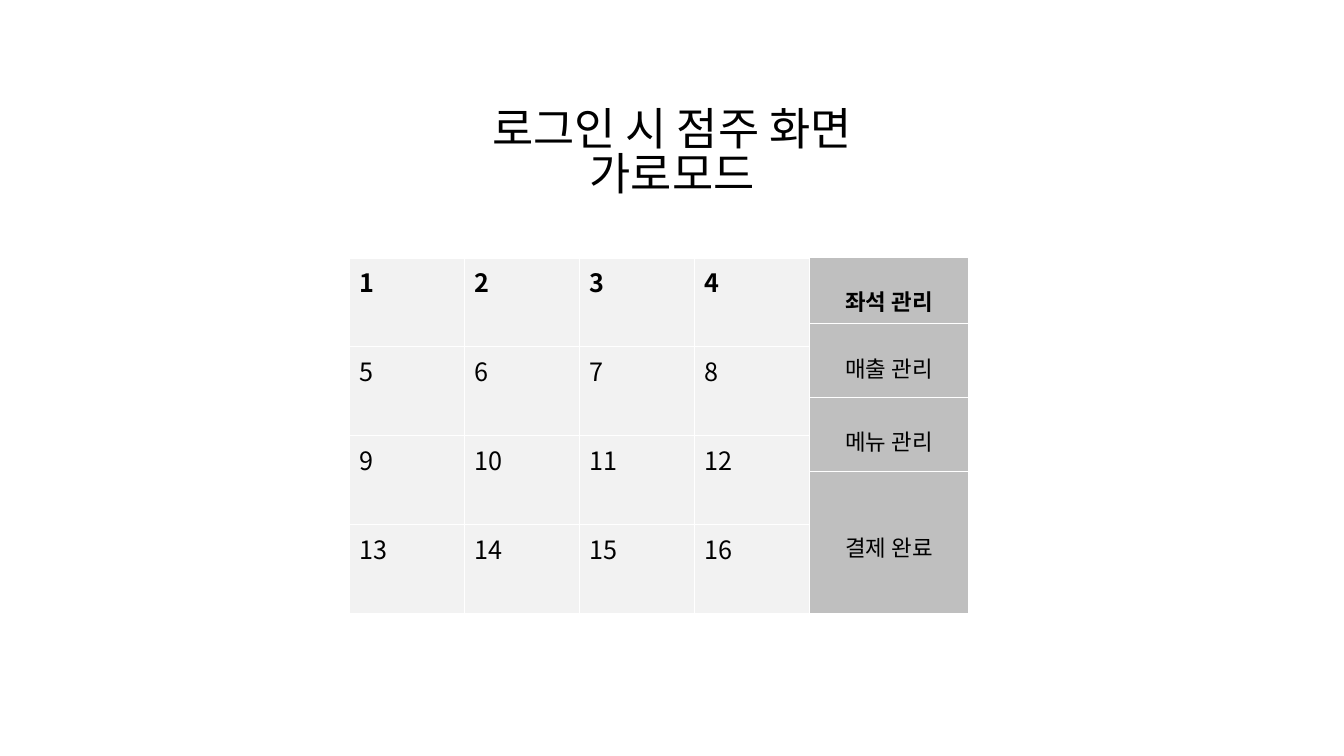
from dataclasses import dataclass

import lxml.etree
import pptx
import pptx.dml.color
import pptx.enum.text
import pptx.oxml.ns
import pptx.table
import pptx.text.text
import pptx.util
from pptx.util import Cm

FONT = "Noto Sans CJK KR"
BLACK = pptx.dml.color.RGBColor(0x00, 0x00, 0x00)
SEAT_GREY = pptx.dml.color.RGBColor(0xF2, 0xF2, 0xF2)
MENU_GREY = pptx.dml.color.RGBColor(0xBF, 0xBF, 0xBF)
LEFT = pptx.enum.text.PP_ALIGN.LEFT
CENTER = pptx.enum.text.PP_ALIGN.CENTER
SEATS_PER_ROW = 4


@dataclass(frozen=True)
class Grid:
    rows: list[list[str]]
    left: float
    top: float
    column_width: float
    row_heights: list[float]
    top_margins: list[float]
    fill: pptx.dml.color.RGBColor
    size: int
    align: pptx.enum.text.PP_ALIGN


def write_text(
    paragraph: pptx.text.text._Paragraph,
    text: str,
    *,
    size: int,
    bold: bool = False,
    align: pptx.enum.text.PP_ALIGN = LEFT,
    line_spacing: float = 1.0,
) -> None:
    paragraph.alignment = align
    paragraph.line_spacing = line_spacing
    run = paragraph.add_run()
    run.text = text
    run.font.size = pptx.util.Pt(size)
    run.font.bold = bold
    run.font.color.rgb = BLACK
    run.font.name = FONT
    properties = run._r.get_or_add_rPr()
    east_asian = lxml.etree.SubElement(properties, pptx.oxml.ns.qn("a:ea"))
    east_asian.set("typeface", FONT)


def draw_title(slide: pptx.slide.Slide, lines: list[str]) -> None:
    title = slide.shapes.title
    title.left, title.top = Cm(9.14), Cm(2.39)
    title.width, title.height = Cm(15.6), Cm(3)
    frame = title.text_frame
    frame.word_wrap = True
    frame.auto_size = pptx.enum.text.MSO_AUTO_SIZE.NONE
    frame.vertical_anchor = pptx.enum.text.MSO_ANCHOR.MIDDLE
    for index, line in enumerate(lines):
        paragraph = frame.add_paragraph() if index else frame.paragraphs[0]
        write_text(paragraph, line, size=32, align=CENTER, line_spacing=0.83)


def draw_grid(slide: pptx.slide.Slide, grid: Grid) -> None:
    column_count = len(grid.rows[0])
    table = slide.shapes.add_table(
        len(grid.rows), column_count, Cm(grid.left), Cm(grid.top),
        Cm(grid.column_width * column_count), Cm(sum(grid.row_heights)),
    ).table
    table.horz_banding = False
    for column in table.columns:
        column.width = Cm(grid.column_width)
    for row_index, texts in enumerate(grid.rows):
        table.rows[row_index].height = Cm(grid.row_heights[row_index])
        for column_index, text in enumerate(texts):
            cell = table.cell(row_index, column_index)
            cell.fill.solid()
            cell.fill.fore_color.rgb = grid.fill
            cell.margin_top = Cm(grid.top_margins[row_index])
            write_text(cell.text_frame.paragraphs[0], text, size=grid.size,
                       bold=row_index == 0, align=grid.align)


def main() -> None:
    presentation = pptx.Presentation()
    presentation.slide_width = Cm(33.87)
    presentation.slide_height = Cm(19.05)
    slide = presentation.slides.add_slide(presentation.slide_layouts[5])

    draw_title(slide, ["로그인 시 점주 화면", "가로모드"])

    seats = Grid(
        rows=[[str(first + offset) for offset in range(SEATS_PER_ROW)]
              for first in range(1, 17, SEATS_PER_ROW)],
        left=8.81, top=6.5, column_width=2.9,
        row_heights=[2.24] * 4, top_margins=[0.13] * 4,
        fill=SEAT_GREY, size=18, align=LEFT,
    )
    menu = Grid(
        rows=[["좌석 관리"], ["매출 관리"], ["메뉴 관리"], ["결제 완료"]],
        left=20.4, top=6.48, column_width=4.01,
        row_heights=[1.68, 1.86, 1.86, 3.58], top_margins=[0.69, 0.69, 0.69, 1.5],
        fill=MENU_GREY, size=16, align=CENTER,
    )
    for grid in (seats, menu):
        draw_grid(slide, grid)

    presentation.save("out.pptx")


if __name__ == "__main__":
    main()
